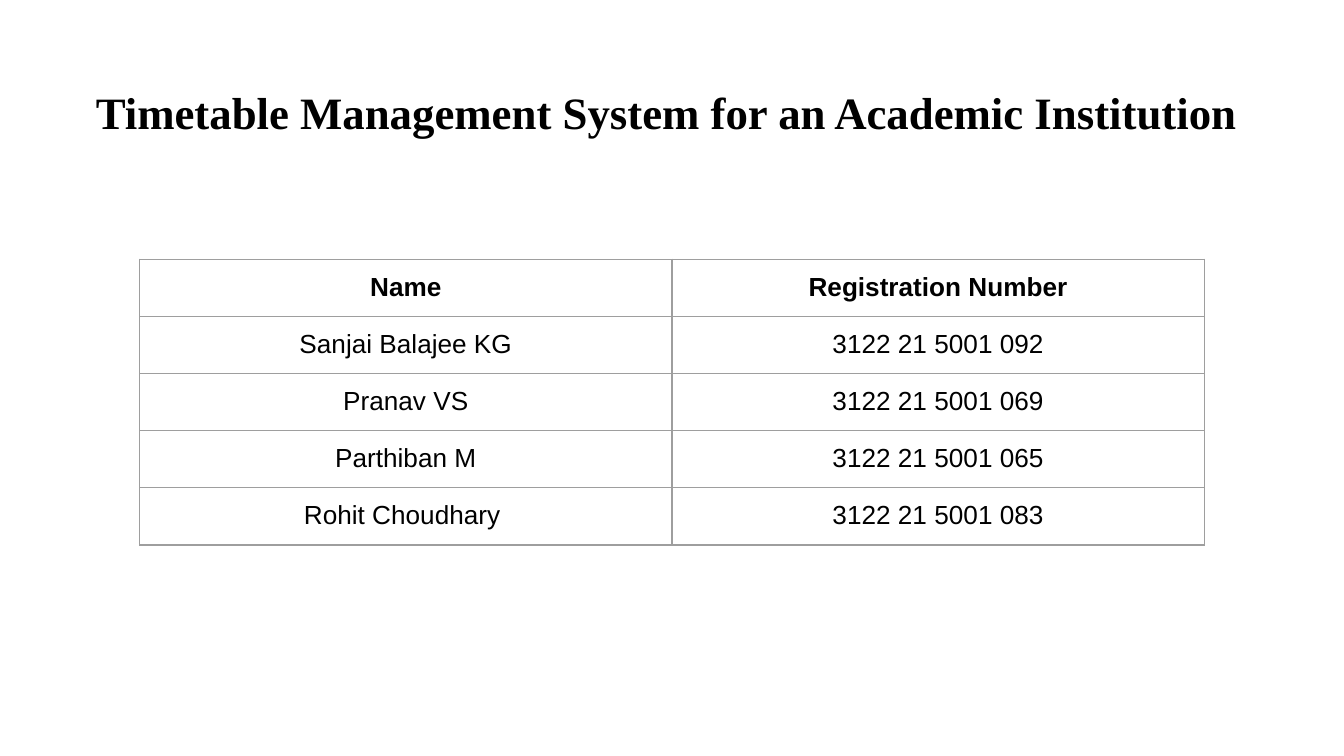
"""Build the title slide of a timetable project with its table of members."""
from lxml.etree import SubElement
from pptx import Presentation
from pptx.dml.color import RGBColor
from pptx.enum.text import MSO_ANCHOR, PP_ALIGN
from pptx.oxml.ns import qn
from pptx.util import Cm, Pt

BLACK = RGBColor(0x00, 0x00, 0x00)
GREY = RGBColor(0x9E, 0x9E, 0x9E)
ROWS = [
    ("Name", "Registration Number"),
    ("Sanjai Balajee KG", "3122 21 5001 092"),
    ("Pranav VS", "3122 21 5001 069"),
    ("Parthiban M", "3122 21 5001 065"),
    ("Rohit Choudhary ", "3122 21 5001 083"),
]


def format_text(p, font, size, bold):
    p.alignment = PP_ALIGN.CENTER
    for r in p.runs:
        r.font.name = font
        r.font.size = Pt(size)
        r.font.bold = bold
        r.font.color.rgb = BLACK


def add_borders(cell):
    tcPr = cell._tc.get_or_add_tcPr()
    for side in ("a:lnL", "a:lnR", "a:lnT", "a:lnB"):
        ln = SubElement(tcPr, qn(side), w=str(Pt(0.75)))
        fill = SubElement(ln, qn("a:solidFill"))
        SubElement(fill, qn("a:srgbClr"), val=str(GREY))


prs = Presentation()
prs.slide_width = Cm(25.4)
prs.slide_height = Cm(14.29)
s = prs.slides.add_slide(prs.slide_layouts[5])

title = s.shapes.title
title.left, title.top = Cm(1.3), Cm(1.47)
title.width, title.height = Cm(22.58), Cm(1.27)
tf = title.text_frame
tf.text = "Timetable Management System for an Academic Institution"
tf.word_wrap = False
tf.vertical_anchor = MSO_ANCHOR.MIDDLE
format_text(tf.paragraphs[0], "Times New Roman", 24, True)

frame = s.shapes.add_table(len(ROWS), 2, Cm(2.64), Cm(4.9), Cm(20.12), Cm(5.4))
table = frame.table
for i, values in enumerate(ROWS):
    table.rows[i].height = Cm(1.08)
    for j, value in enumerate(values):
        cell = table.cell(i, j)
        cell.text_frame.text = value
        cell.margin_left = cell.margin_right = Cm(0.25)
        cell.margin_top = cell.margin_bottom = Cm(0.25)
        format_text(cell.text_frame.paragraphs[0], "Arial", 14, i == 0)
        add_borders(cell)
        cell.fill.background()

prs.save("out.pptx")
